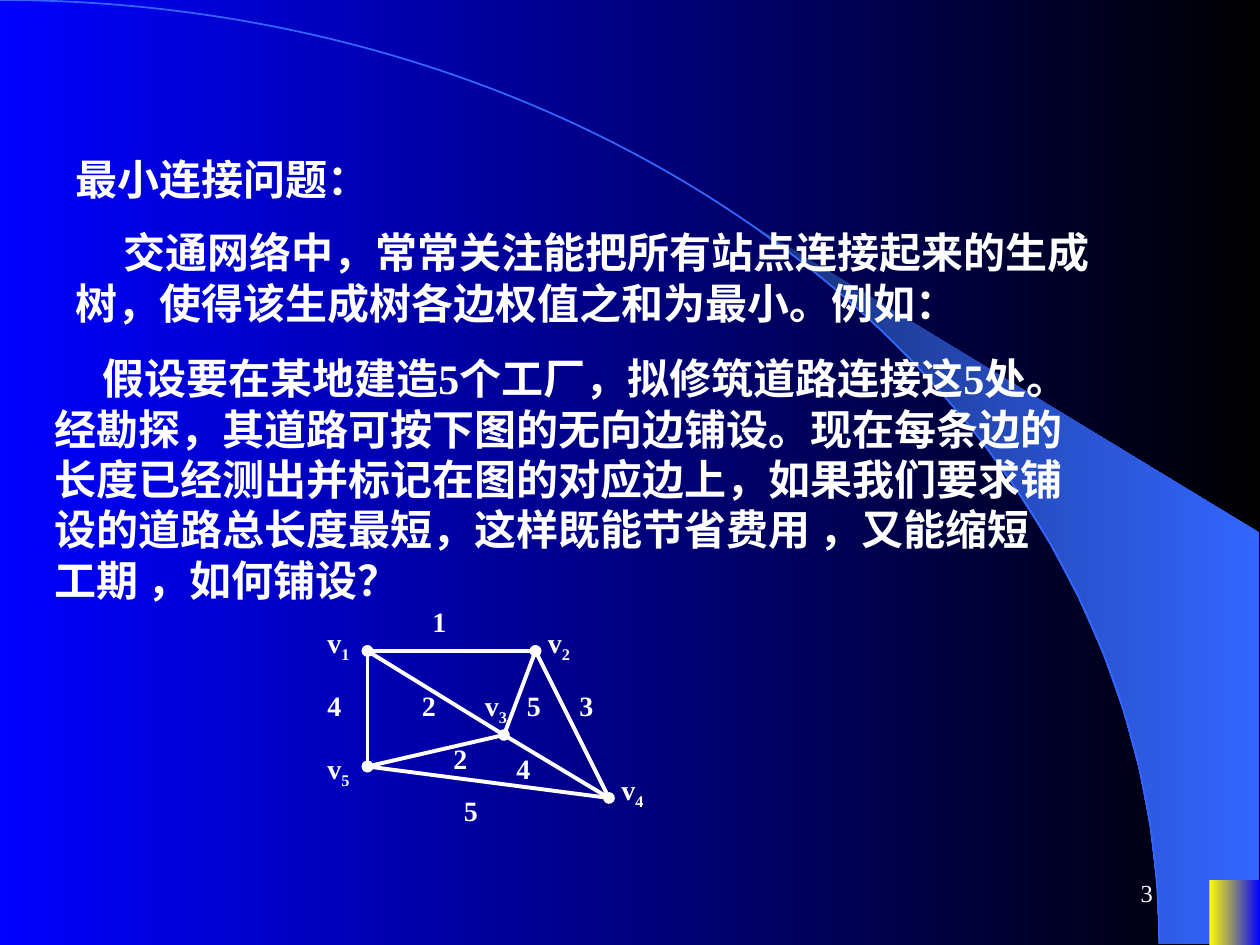
"""Build a slide that introduces the minimum connection problem."""
import math

from lxml import etree
from pptx import Presentation
from pptx.dml.color import RGBColor
from pptx.enum.shapes import MSO_CONNECTOR, MSO_SHAPE
from pptx.enum.text import MSO_ANCHOR, MSO_AUTO_SIZE, PP_ALIGN
from pptx.oxml.ns import qn
from pptx.util import Pt

STRAIGHT = MSO_CONNECTOR.STRAIGHT
RECTANGLE = MSO_SHAPE.RECTANGLE
TOP, MIDDLE = MSO_ANCHOR.TOP, MSO_ANCHOR.MIDDLE
LEFT, RIGHT = PP_ALIGN.LEFT, PP_ALIGN.RIGHT
GROW, FIXED = MSO_AUTO_SIZE.SHAPE_TO_FIT_TEXT, MSO_AUTO_SIZE.NONE

WHITE = RGBColor(0xFF, 0xFF, 0xFF)
BLACK = RGBColor(0x00, 0x00, 0x00)
BLUE = RGBColor(0x00, 0x00, 0xFF)
YELLOW = RGBColor(0xFF, 0xFF, 0x00)
NAVY = RGBColor(0x18, 0x2F, 0x76)
SKY = RGBColor(0x33, 0x66, 0xFF)

FONT = "Times New Roman"
SLIDE_WIDTH, SLIDE_HEIGHT = 720, 540
ARC_WIDTH, ARC_HEIGHT = 662.4, 539.3
ARC_CONTROLS = [(365.8, 0), (ARC_WIDTH, 241.2), (ARC_WIDTH, ARC_HEIGHT)]
CRESCENT_STEPS = 14
CRESCENT_START = 50.2
CRESCENT_RIGHT, CRESCENT_SHOULDER = 719.3, 304.3
LABEL_WIDTH, LABEL_HEIGHT = 37.5, 26.5
INDENT = 27.4

TITLE = "最小连接问题："
INTRO = "交通网络中，常常关注能把所有站点连接起来的生成树，使得该生成树各边权值之和为最小。例如："
EXAMPLE = (
    "假设要在某地建造5个工厂，拟修筑道路连接这5处。经勘探，其道路可按下图的无向边铺设。"
    "现在每条边的长度已经测出并标记在图的对应边上，如果我们要求铺设的道路总长度最短，"
    "这样既能节省费用 ，又能缩短工期 ，如何铺设？"
)

VERTICES = {"1": (210, 372), "2": (306, 372), "3": (288, 420), "4": (348, 456), "5": (210, 438)}
EDGES = [
    ("1", "5", True), ("1", "3", False), ("1", "2", True), ("2", "3", False),
    ("5", "4", False), ("3", "4", False), ("2", "4", True), ("5", "3", True),
]
VERTEX_LABELS = {"1": (180, 354), "2": (306, 354), "3": (270, 390), "4": (348, 438), "5": (180, 426)}
WEIGHTS = [
    ("1", 240, 342), ("2", 252, 420), ("2", 234, 390), ("4", 180, 390),
    ("3", 324, 390), ("4", 288, 426), ("5", 258, 450), ("5", 294, 390),
]


def set_gradient(fill, start, end):
    """Fill from left to right with two colours."""
    fill.gradient()
    fill.gradient_angle = 0
    for stop, color in zip(fill.gradient_stops, (start, end)):
        stop.color.rgb = color


def crescent_points():
    """Return the inner elliptic edge of the crescent and its right corners."""
    angles = [math.radians(CRESCENT_START * (1 - step / CRESCENT_STEPS))
              for step in range(CRESCENT_STEPS + 1)]
    edge = [(ARC_WIDTH * math.cos(a), ARC_HEIGHT * (1 - math.sin(a))) for a in angles]
    return edge + [(CRESCENT_RIGHT, ARC_HEIGHT), (CRESCENT_RIGHT, CRESCENT_SHOULDER)]


def add_outline(shapes, points, close):
    """Add a freeform through the points."""
    points = [(Pt(x), Pt(y)) for x, y in points]
    builder = shapes.build_freeform(*points[0])
    builder.add_line_segments(points[1:], close=close)
    outline = builder.convert_to_shape()
    outline.shadow.inherit = False
    return outline


def add_arc(shapes):
    """Add the quarter ellipse as a single Bezier curve."""
    arc = add_outline(shapes, [(0, 0), ARC_CONTROLS[-1]], False)
    segment = next(arc._element.iter(qn("a:lnTo")))
    curve = etree.Element(qn("a:cubicBezTo"))
    for x, y in ARC_CONTROLS:
        etree.SubElement(curve, qn("a:pt"), x=str(Pt(x)), y=str(Pt(y)))
    segment.getparent().replace(segment, curve)
    arc.fill.background()
    arc.line.color.rgb = SKY
    arc.line.width = Pt(1)


def add_backdrop(slide):
    """Add the background, the crescent, the arc and the corner block."""
    set_gradient(slide.background.fill, BLUE, BLACK)
    crescent = add_outline(slide.shapes, crescent_points(), True)
    set_gradient(crescent.fill, NAVY, SKY)
    crescent.line.fill.background()
    add_arc(slide.shapes)
    block = slide.shapes.add_shape(RECTANGLE, Pt(691), Pt(502.8), Pt(29), Pt(37.2))
    block.shadow.inherit = False
    set_gradient(block.fill, YELLOW, BLUE)
    block.line.fill.background()


def add_text(shapes, text, left, top, width, height, *, size=24, bold=True, align=LEFT,
             anchor=TOP, fit=GROW, indent=0, subscript=""):
    """Add a text box with one paragraph and an optional subscript."""
    box = shapes.add_textbox(Pt(left), Pt(top), Pt(width), Pt(height))
    frame = box.text_frame
    frame.word_wrap = True
    frame.auto_size = fit
    frame.vertical_anchor = anchor
    paragraph = frame.paragraphs[0]
    paragraph.alignment = align
    if indent:
        paragraph._p.get_or_add_pPr().set("indent", str(Pt(indent)))
    for part in filter(None, (text, subscript)):
        run = paragraph.add_run()
        run.text = part
        run.font.name = FONT
        run.font.size = Pt(size)
        run.font.bold = bold
        run.font.color.rgb = WHITE
    if subscript:
        run.font._element.set("baseline", "-25000")


def add_edge(shapes, start, end, dotted):
    """Add a graph edge, with round dots at its ends if dotted."""
    edge = shapes.add_connector(STRAIGHT, *map(Pt, start + end))
    edge.line.color.rgb = WHITE
    edge.line.width = Pt(2.25)
    properties = edge._element.spPr
    if dotted:
        for tag in ("a:headEnd", "a:tailEnd"):
            etree.SubElement(properties.find(qn("a:ln")), qn(tag), type="oval")
    etree.SubElement(properties, qn("a:effectLst"))


def add_graph(slide):
    """Add the weighted road graph as one group."""
    shapes = slide.shapes.add_group_shape().shapes
    for start, end, dotted in EDGES:
        add_edge(shapes, VERTICES[start], VERTICES[end], dotted)
    for number, (left, top) in VERTEX_LABELS.items():
        add_text(shapes, "v", left, top, LABEL_WIDTH, LABEL_HEIGHT + 3, size=16, subscript=number)
    for weight, left, top in WEIGHTS:
        add_text(shapes, weight, left, top, LABEL_WIDTH, LABEL_HEIGHT, size=16)


def main():
    """Build and save the slide."""
    deck = Presentation()
    deck.slide_width, deck.slide_height = Pt(SLIDE_WIDTH), Pt(SLIDE_HEIGHT)
    slide = deck.slides.add_slide(deck.slide_layouts[6])
    add_backdrop(slide)
    add_text(slide.shapes, "3", 516, 492, 150, 36, size=14, bold=False, align=RIGHT,
             anchor=MIDDLE, fit=FIXED)
    add_text(slide.shapes, TITLE, 36, 84, 594, 36)
    add_text(slide.shapes, INTRO, 36, 126, 594, 65, indent=INDENT)
    add_text(slide.shapes, EXAMPLE, 24, 198, 592, 151, anchor=MIDDLE, indent=INDENT)
    add_graph(slide)
    deck.save("out.pptx")


if __name__ == "__main__":
    main()
